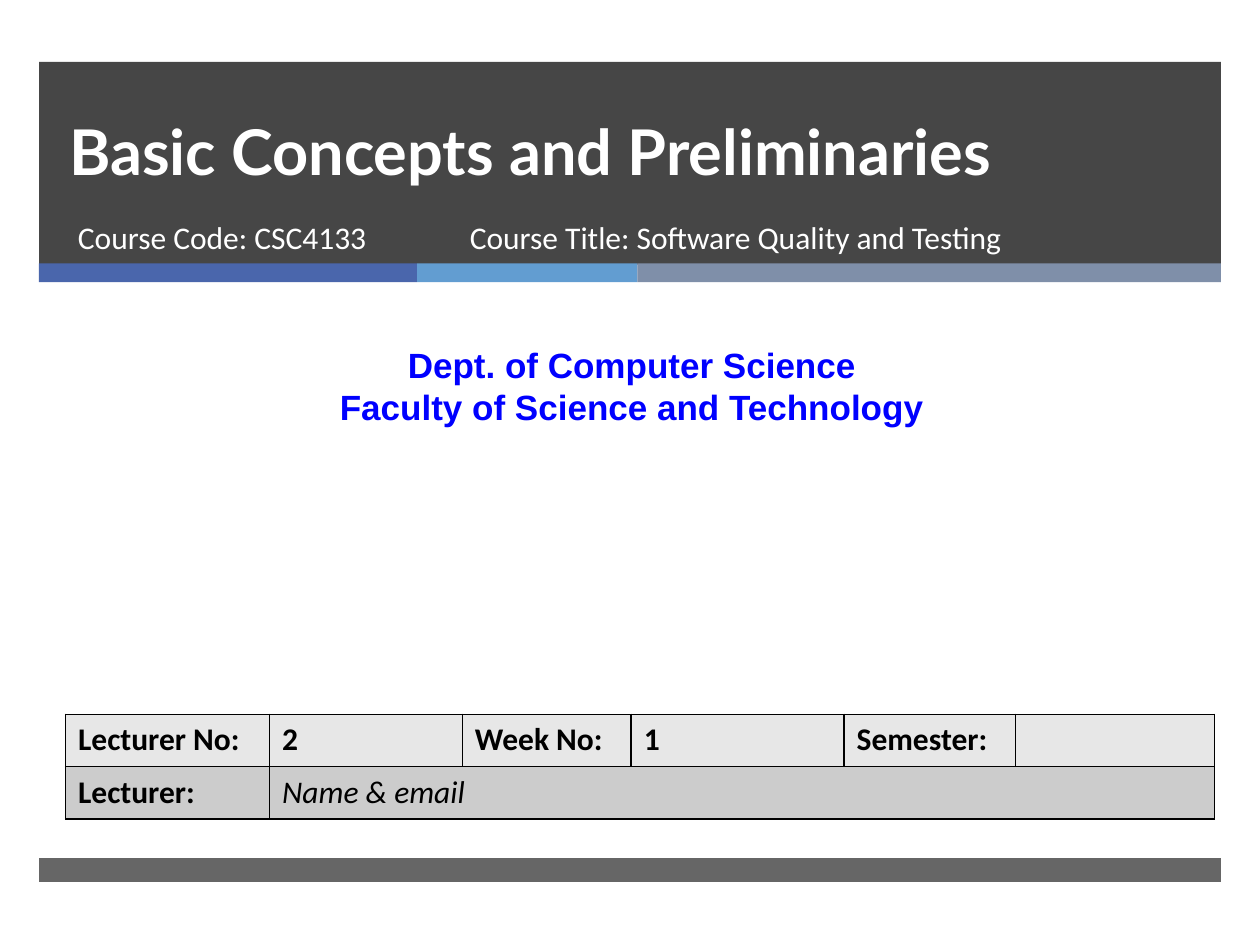
from lxml import etree
from pptx import Presentation
from pptx.dml.color import RGBColor
from pptx.enum.shapes import MSO_SHAPE
from pptx.enum.text import MSO_ANCHOR, PP_ALIGN
from pptx.oxml.ns import qn
from pptx.util import Inches, Pt

RECTANGLE = MSO_SHAPE.RECTANGLE
BOTTOM, TOP = MSO_ANCHOR.BOTTOM, MSO_ANCHOR.TOP
LEFT, CENTER = PP_ALIGN.LEFT, PP_ALIGN.CENTER

COLORS = {
    "dark": "262626", "blue": "4A66AC", "sky": "629DD1", "slate": "7F8FA9",
    "white": "FFFFFF", "black": "000000", "department": "0000FF",
    "light_row": "E7E7E7", "dark_row": "CCCCCC",
}


def style(paragraph, font_name, size, color, bold=False, italic=False, align=LEFT):
    paragraph.alignment = align
    for run in paragraph.runs:
        run.font.name = font_name
        run.font.size = Pt(size)
        run.font.bold = bold
        run.font.italic = italic
        run.font.color.rgb = RGBColor.from_string(COLORS[color])


def add_text(text, left, top, width, height):
    box = slide.shapes.add_textbox(Inches(left), Inches(top), Inches(width), Inches(height))
    box.text_frame.word_wrap = True
    box.text_frame.text = text
    return box.text_frame.paragraphs


prs = Presentation()
prs.slide_width, prs.slide_height = Inches(10), Inches(7.5)
slide = prs.slides.add_slide(prs.slide_layouts[5])

bands = [
    (0.31, 0.49, 9.38, 1.61, "dark", 85),
    (0.31, 2.09, 3, 0.15, "blue", 100),
    (3.31, 2.09, 1.75, 0.15, "sky", 100),
    (5.06, 2.09, 4.63, 0.15, "slate", 100),
    (0.31, 6.81, 9.38, 0.19, "dark", 70),
]
for left, top, width, height, color, opacity in bands:
    band = slide.shapes.add_shape(
        RECTANGLE, Inches(left), Inches(top), Inches(width), Inches(height))
    band.shadow.inherit = False
    band.line.fill.background()
    band.fill.solid()
    band.fill.fore_color.rgb = RGBColor.from_string(COLORS[color])
    if opacity < 100:
        fill_color = band.element.spPr.find(".//" + qn("a:srgbClr"))
        etree.SubElement(fill_color, qn("a:alpha"), val=str(opacity * 1000))

title = slide.shapes.title
slide.shapes.element.append(title.element)
title.left, title.top = Inches(0.35), Inches(0.73)
title.width, title.height = Inches(8.54), Inches(0.81)
title.text_frame.text = "Basic Concepts and Preliminaries"
title.text_frame.margin_left = Inches(0.2)
title.text_frame.vertical_anchor = BOTTOM
heading = title.text_frame.paragraphs[0]
heading.line_spacing = Pt(46)
style(heading, "Lato", 36, "white", bold=True)

for text, left, width in [
    ("Course Code: CSC4133", 0.52, 3.05),
    ("Course Title: Software Quality and Testing", 3.63, 4.55),
]:
    for paragraph in add_text(text, left, 1.68, width, 0.53):
        style(paragraph, "Calibri", 18, "white")

department = "Dept. of Computer Science\nFaculty of Science and Technology"
for paragraph in add_text(department, 0.08, 2.68, 9.87, 0.77):
    paragraph.line_spacing = Pt(24)
    style(paragraph, "Arial", 20, "department", bold=True, align=CENTER)

lecture_rows = [
    ["Lecturer No:", "2", "Week No:", "1", "Semester:", ""],
    ["Lecturer:", "Name & email", "", "", "", ""],
]
column_widths = [1.62, 1.53, 1.34, 1.69, 1.36, 1.58]
lecture_table = slide.shapes.add_table(
    2, 6, Inches(0.52), Inches(5.67), Inches(9.12), Inches(0.83)).table
for column, width in zip(lecture_table.columns, column_widths):
    column.width = Inches(width)
lecture_table.cell(1, 1).merge(lecture_table.cell(1, 5))

for row_index, (labels, row_color) in enumerate(zip(lecture_rows, ["light_row", "dark_row"])):
    lecture_table.rows[row_index].height = Inches(0.415)
    for column_index, label in enumerate(labels):
        cell = lecture_table.cell(row_index, column_index)
        cell.vertical_anchor = TOP
        if label:
            cell.text_frame.text = label
            is_contact = label == "Name & email"
            style(cell.text_frame.paragraphs[0], "Calibri", 18, "black",
                  bold=not is_contact, italic=is_contact)
        properties = cell._tc.get_or_add_tcPr()
        for side in ("a:lnL", "a:lnR", "a:lnT", "a:lnB"):
            border = etree.SubElement(properties, qn(side), w=str(Pt(1)))
            border_fill = etree.SubElement(border, qn("a:solidFill"))
            etree.SubElement(border_fill, qn("a:srgbClr"), val=COLORS["black"])
        cell.fill.solid()
        cell.fill.fore_color.rgb = RGBColor.from_string(COLORS[row_color])

prs.save("out.pptx")
